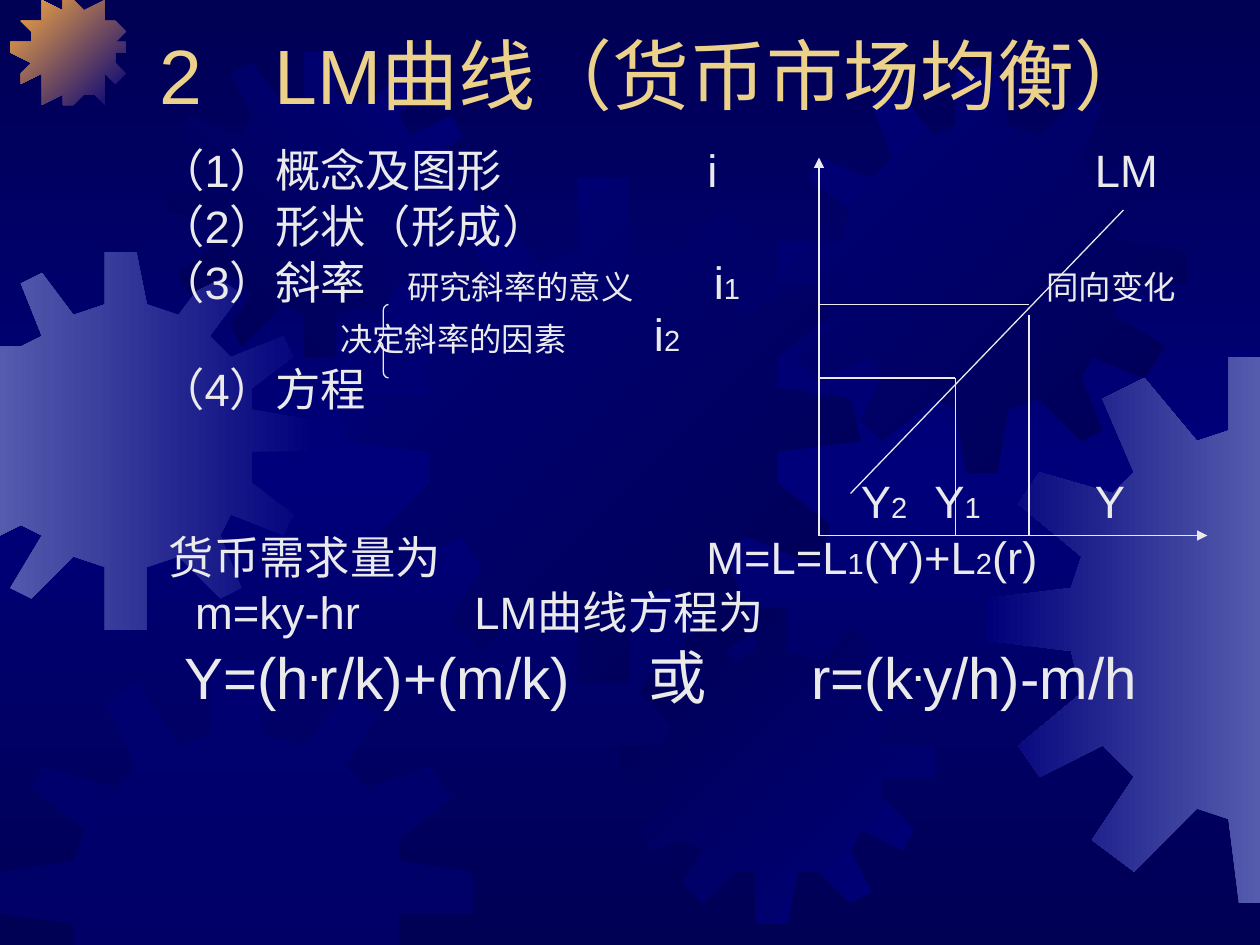
"""Builds the LM curve slide on a grid of 120 columns by 90 rows."""
from copy import deepcopy

from pptx import Presentation
from pptx.dml.color import RGBColor
from pptx.enum.shapes import MSO_CONNECTOR as Connector, MSO_SHAPE as Preset
from pptx.enum.text import MSO_ANCHOR as Anchor
from pptx.oxml.ns import qn
from pptx.oxml.xmlchemy import OxmlElement as Element
from pptx.util import Inches, Pt

NAVY = RGBColor(0x00, 0x00, 0x54)
BLUE = RGBColor(0x00, 0x00, 0x7A)
LILAC = RGBColor(0x55, 0x5B, 0xAD)
ORANGE = RGBColor(0xFC, 0xAB, 0x40)
GOLD = RGBColor(0xEB, 0xD1, 0x89)
PALE = RGBColor(0xEA, 0xEA, 0xEA)
FONT = "Arial"
COLUMNS, ROWS = 120, 90
CELL = Inches(10) // COLUMNS

GEAR_GRID = 401
GEAR = [
    (255, 67), (223, 59), (219, 0), (180, 3), (177, 59), (151, 68),
    (113, 20), (87, 35), (112, 88), (94, 106), (38, 85), (25, 107),
    (68, 145), (61, 174), (1, 178), (0, 210), (61, 219), (67, 246),
    (22, 287), (38, 312), (88, 288), (107, 307), (81, 355), (106, 375),
    (151, 332), (177, 340), (183, 400), (222, 401), (226, 339), (259, 330),
    (299, 374), (325, 358), (299, 306), (316, 284), (368, 309), (384, 281),
    (336, 246), (342, 216), (401, 210), (400, 180), (341, 171), (335, 148),
    (383, 114), (367, 87), (313, 109), (296, 91), (323, 41), (297, 25),
]


def clip(points, axis, limit, side):
    """Keep the part of an outline on one side of a slide edge."""
    kept = []
    for start, end in zip(points, points[1:] + points[:1]):
        start_gap = (start[axis] - limit) * side
        end_gap = (end[axis] - limit) * side
        if start_gap >= 0:
            kept.append(start)
        if start_gap * end_gap < 0:
            share = start_gap / (start_gap - end_gap)
            kept.append(tuple(a + (b - a) * share for a, b in zip(start, end)))
    return kept


def add_text_box(left, top, width, height):
    """Add a wrapping text box placed on the grid."""
    box = slide.shapes.add_textbox(*(n * CELL for n in (left, top, width, height)))
    box.text_frame.word_wrap = True
    return box.text_frame


presentation = Presentation()
presentation.slide_width, presentation.slide_height = COLUMNS * CELL, ROWS * CELL
slide = presentation.slides.add_slide(presentation.slide_layouts[6])

background = slide.background.fill
background.gradient()
background.gradient_angle = 270
for stop, color in zip(background.gradient_stops, (NAVY, BLUE)):
    stop.color.rgb = color
stop_list = next(slide.element.iter(qn("a:gsLst")))
stop_list.append(deepcopy(stop_list[0]))
for stop, position in zip(stop_list, (0, 50000, 100000)):
    stop.set("pos", str(position))

gears = [
    (-5.9, 24.1, 35.5, BLUE, LILAC, 180),
    (1.4, -0.5, 11, BLUE, ORANGE, 135),
    (15.6, 4.7, 29.8, BLUE, NAVY, 225),
    (33.3, 16.7, 48.2, NAVY, BLUE, 135),
    (0, 63, 44.9, BLUE, BLUE, 0),
    (58.9, 58.1, 29.8, BLUE, NAVY, 135),
    (74.2, 6.4, 38.4, NAVY, BLUE, 135),
    (93.8, 33.6, 52.4, LILAC, BLUE, 180),
]
for left, top, size, first, last, angle in gears:
    scale = size / GEAR_GRID
    outline = [(left + x * scale, top + y * scale) for x, y in GEAR]
    for edge in ((0, 0, 1), (0, COLUMNS, -1), (1, 0, 1), (1, ROWS, -1)):
        outline = clip(outline, *edge)
    builder = slide.shapes.build_freeform(*outline[0], scale=CELL)
    builder.add_line_segments(outline[1:], close=True)
    gear = builder.convert_to_shape()
    gear.shadow.inherit = False
    gear.line.fill.background()
    if first == last:
        gear.fill.solid()
        gear.fill.fore_color.rgb = first
        alpha = Element("a:alpha")
        alpha.set("val", "50000")
        next(gear.element.spPr.iter(qn("a:srgbClr"))).append(alpha)
    else:
        gear.fill.gradient()
        gear.fill.gradient_angle = angle
        for stop, color, position in zip(gear.fill.gradient_stops, (first, last), (0, 1)):
            stop.color.rgb = color
            stop.position = position

title_frame = add_text_box(14, 4, 102, 8)
title_frame.vertical_anchor = Anchor.BOTTOM
title = title_frame.paragraphs[0]
title.text = "LM曲线（货币市场均衡）"
title.runs[0].font.name = FONT
title.runs[0].font.size = Pt(44)
title.runs[0].font.color.rgb = GOLD
properties = title._p.get_or_add_pPr()
properties.set("marL", str(11 * CELL))
properties.set("indent", str(-11 * CELL))
bullet_color, bullet_rgb = Element("a:buClr"), Element("a:srgbClr")
bullet_rgb.set("val", str(GOLD))
bullet_color.append(bullet_rgb)
number = Element("a:buAutoNum")
number.set("type", "arabicPlain")
number.set("startAt", "2")
properties.extend([bullet_color, number])

MAIN, NOTE, INDEX, LARGE, DOT = 25.9, 18.5, 16.6, 33.3, "dot"
lines = [
    (7, [52.2, 89.1], [("（1）概念及图形\ti\tLM", MAIN)]),
    (7, [], [("（2）形状（形成）", MAIN)]),
    (7, [23.6, 52.8, 84.5],
     [("（3）斜率\t", MAIN), ("研究斜率的意义\t", NOTE), ("i", MAIN),
      ("1\t", INDEX), ("同向变化", NOTE)]),
    (4.5, [17.2, 47.1], [("\t决定斜率的因素\t", NOTE), ("i", MAIN), ("2", INDEX)]),
    (7, [], [("（4）方程", MAIN)]),
    (38.8, [66.8, 73.8, 89.1],
     [("\tY", MAIN), ("2\t", INDEX), ("Y", MAIN), ("1\t", INDEX), ("Y", MAIN)]),
    (7, [0.9, 52.1],
     [("\t货币需求量为\tM=L=L", MAIN), ("1", INDEX), ("(Y)+L", MAIN),
      ("2", INDEX), ("(r)", MAIN)]),
    (7, [3.4, 30], [("\tm=ky-hr\tLM曲线方程为", MAIN)]),
    (9, [2.4, 46.6, 62.1],
     [("\tY=(h", LARGE), (".", DOT), ("r/k)+(m/k)\t或\tr=(k", LARGE),
      (".", DOT), ("y/h)-m/h", LARGE)]),
]
body_frame = add_text_box(14, 14, 106, 73)
for row, (space, stops, pieces) in enumerate(lines):
    paragraph = body_frame.add_paragraph() if row else body_frame.paragraphs[0]
    paragraph.line_spacing = 0.8
    paragraph.space_before = Pt(space)
    tab_list = Element("a:tabLst")
    for stop in stops:
        tab = Element("a:tab")
        tab.set("pos", str(round(stop * CELL)))
        tab.set("algn", "l")
        tab_list.append(tab)
    paragraph._p.get_or_add_pPr().append(tab_list)
    for text, size in pieces:
        run = paragraph.add_run()
        run.text = text
        run.font.name = FONT
        run.font.color.rgb = PALE
        run.font.size = Pt(LARGE if size == DOT else size)
        if size == DOT:
            run.font.bold = True
            run.font._element.set("baseline", "30000")

brace = slide.shapes.add_shape(Preset.LEFT_BRACE, 36 * CELL, 29 * CELL, CELL, 7 * CELL)
brace.adjustments[0] = 0.6
brace.shadow.inherit = False
brace.fill.background()
brace.line.color.rgb = PALE
brace.line.width = Pt(0.75)

chart_lines = [
    (78, 51, 78, 15, True),
    (78, 51, 115, 51, True),
    (81, 47, 107, 20, False),
    (78, 29, 98, 29, False),
    (98, 30, 98, 51, False),
    (78, 36, 91, 36, False),
    (91, 36, 91, 51, False),
]
for *ends, is_axis in chart_lines:
    line = slide.shapes.add_connector(Connector.STRAIGHT, *(n * CELL for n in ends))
    line.line.color.rgb = PALE
    line.line.width = Pt(0.75)
    if is_axis:
        arrowhead = Element("a:tailEnd")
        arrowhead.set("type", "triangle")
        line.line._ln.append(arrowhead)
    line._element.spPr.append(Element("a:effectLst"))

presentation.save("out.pptx")
